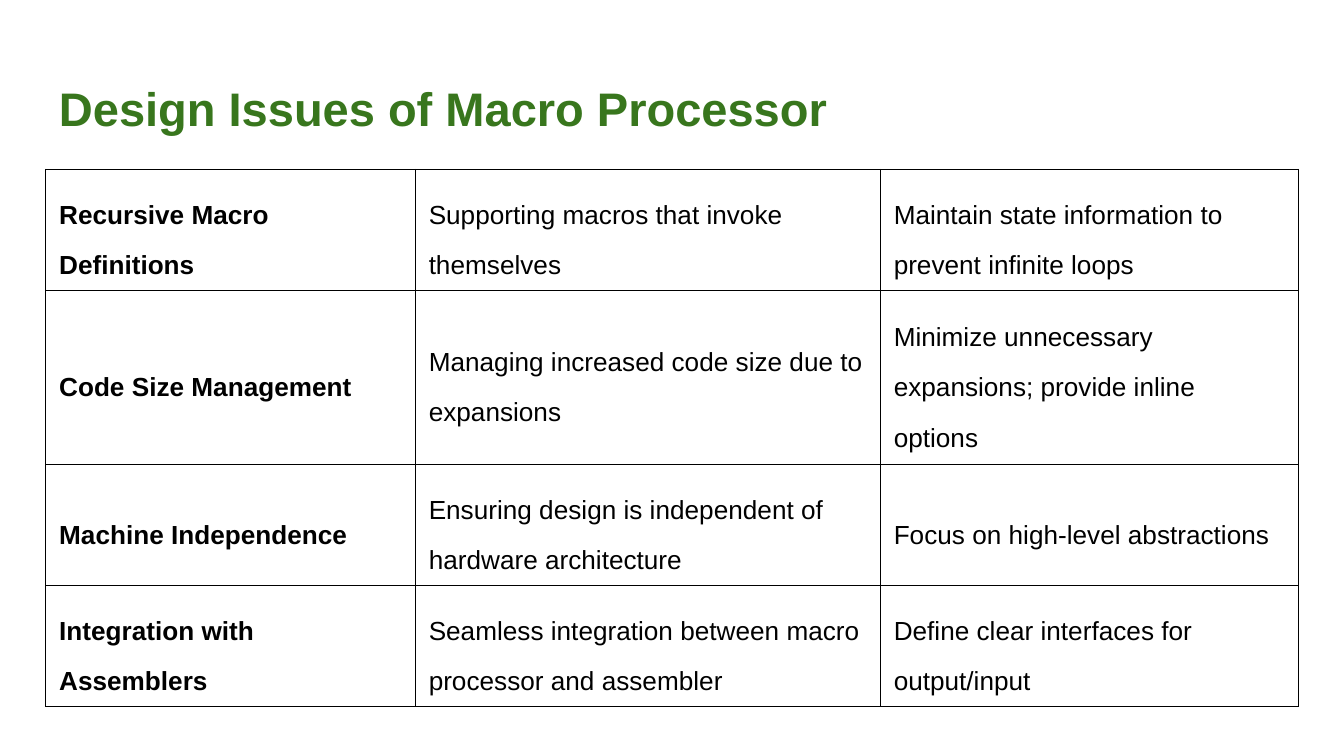
import pptx
import pptx.dml.color
import pptx.enum.text
import pptx.oxml
import pptx.oxml.ns
import pptx.util

WIDTH, HEIGHT = 10, 10 * 9 / 16
LEFT = 0.034 * WIDTH
COLUMNS = [2.75, 3.46, 3.11]
ROW_HEIGHTS = [0.84, 1.27, 0.84, 0.84]
ISSUES = [
    ("Recursive Macro Definitions",
     "Supporting macros that invoke themselves",
     "Maintain state information to prevent infinite loops"),
    ("Code Size Management",
     "Managing increased code size due to expansions",
     "Minimize unnecessary expansions; provide inline options"),
    ("Machine Independence",
     "Ensuring design is independent of hardware architecture",
     "Focus on high-level abstractions"),
    ("Integration with Assemblers",
     "Seamless integration between macro processor and assembler",
     "Define clear interfaces for output/input"),
]


def inches(value):
    """Convert inches to a length."""
    return pptx.util.Inches(value)


def colour(value):
    """Turn a hex string into a colour."""
    return pptx.dml.color.RGBColor.from_string(value)


def set_text(frame, text, size, hue, bold):
    """Write one styled paragraph and return it."""
    para = frame.paragraphs[0]
    para.text = text
    para.font.name = "Arial"
    para.font.size = pptx.util.Pt(size)
    para.font.bold = bold
    para.font.color.rgb = colour(hue)
    return para


def set_margins(holder, across, down):
    """Set equal side margins and equal top and bottom margins."""
    holder.margin_left = holder.margin_right = inches(across)
    holder.margin_top = holder.margin_bottom = inches(down)


def add_title(page, text):
    """Add the heading above the table."""
    box = page.shapes.add_textbox(
        inches(LEFT), inches(0.49), inches(WIDTH - 2 * LEFT), inches(0.63))
    frame = box.text_frame
    frame.word_wrap = True
    frame.vertical_anchor = pptx.enum.text.MSO_ANCHOR.TOP
    set_margins(frame, 0.1, 0.1)
    set_text(frame, text, 25.2, "38761D", True)


def add_borders(cell, hue, width):
    """Draw a solid line on all four sides of a cell."""
    properties = cell._tc.get_or_add_tcPr()
    namespace = pptx.oxml.ns.nsdecls("a")
    for position, side in enumerate(("lnL", "lnR", "lnT", "lnB")):
        line = pptx.oxml.parse_xml(
            f'<a:{side} {namespace} w="{pptx.util.Pt(width)}"><a:solidFill>'
            f'<a:srgbClr val="{hue}"/></a:solidFill></a:{side}>')
        properties.insert(position, line)


def fill_cell(cell, text, bold):
    """Write and style one table cell."""
    cell.fill.background()
    cell.vertical_anchor = pptx.enum.text.MSO_ANCHOR.MIDDLE
    set_margins(cell, 0.1, 0.05)
    para = set_text(cell.text_frame, text, 14, "000000", bold)
    para.line_spacing = 1.71
    para.space_before = para.space_after = pptx.util.Pt(11)
    add_borders(cell, "000000", 0.48)


def add_issue_table(page):
    """Add the table of issues, descriptions and remedies."""
    table = page.shapes.add_table(
        len(ISSUES), len(COLUMNS), inches(LEFT), inches(1.26),
        inches(sum(COLUMNS)), inches(sum(ROW_HEIGHTS))).table
    table.first_row = table.horz_banding = False
    for column, width in zip(table.columns, COLUMNS):
        column.width = inches(width)
    for row, height, texts in zip(table.rows, ROW_HEIGHTS, ISSUES):
        row.height = inches(height)
        for index, text in enumerate(texts):
            fill_cell(row.cells[index], text, index == 0)


def main():
    """Build and save the deck."""
    deck = pptx.Presentation()
    deck.slide_width, deck.slide_height = inches(WIDTH), inches(HEIGHT)
    page = deck.slides.add_slide(deck.slide_layouts[6])
    page.background.fill.solid()
    page.background.fill.fore_color.rgb = colour("FFFFFF")
    add_title(page, "Design Issues of Macro Processor")
    add_issue_table(page)
    deck.save("out.pptx")


if __name__ == "__main__":
    main()
